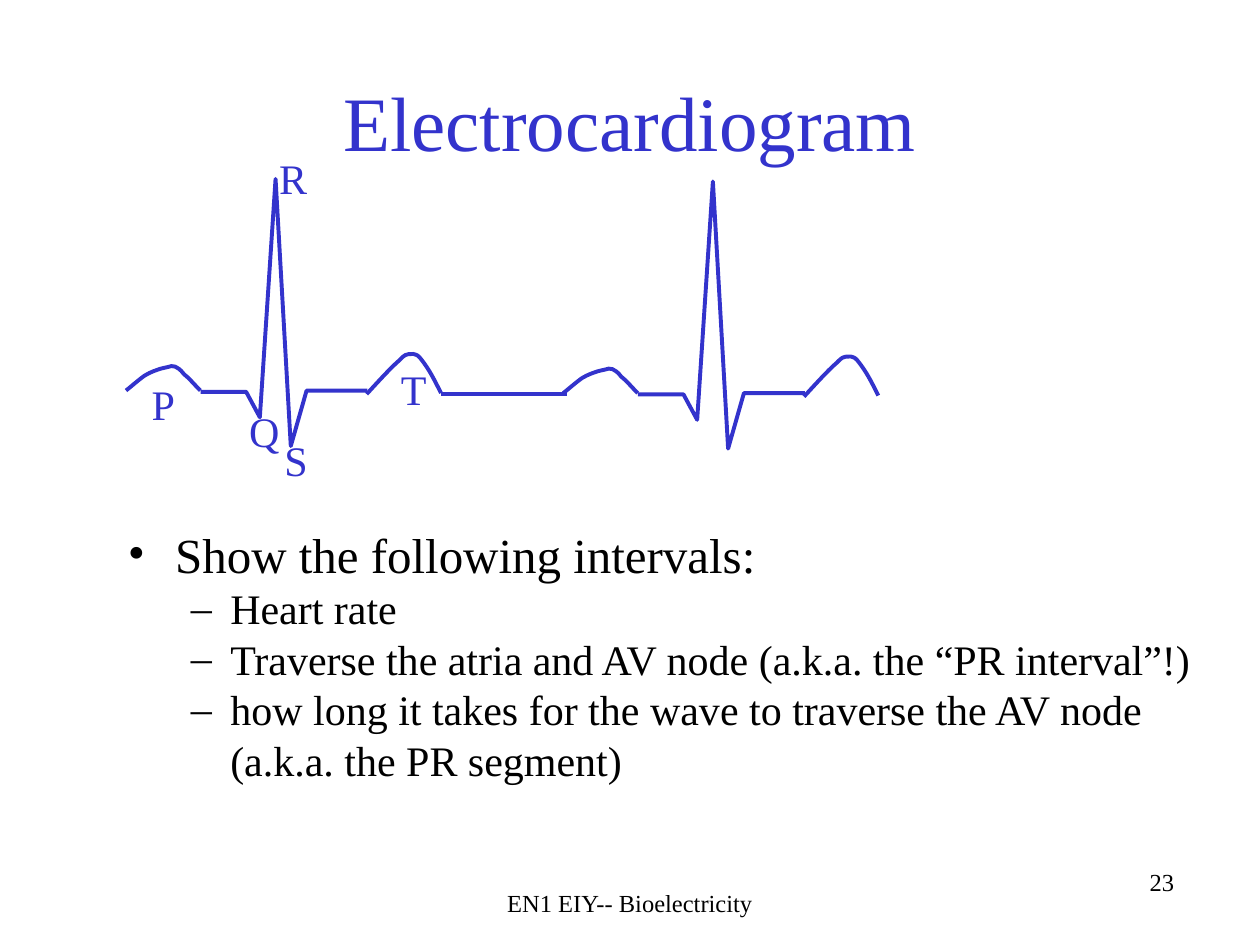
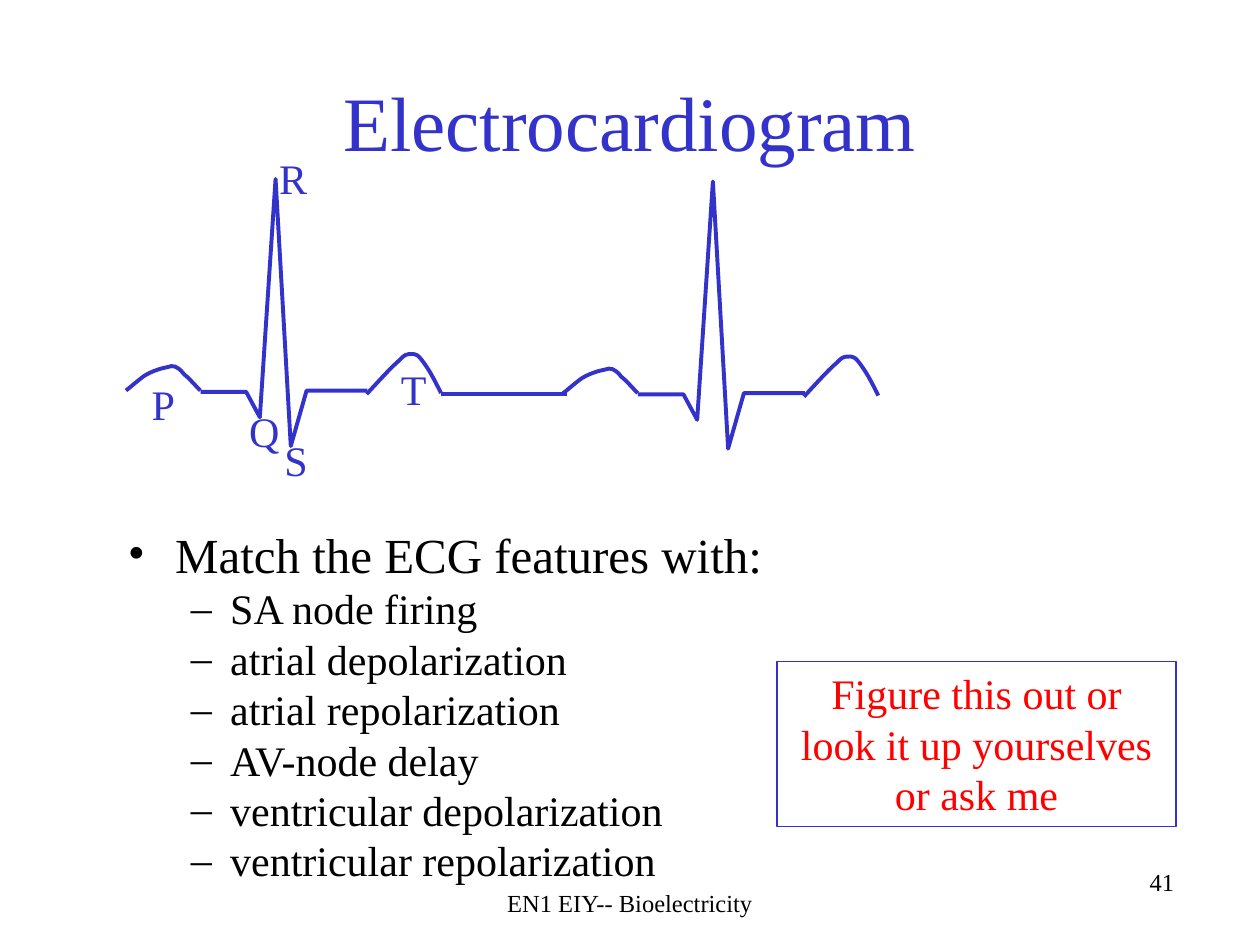
from dataclasses import dataclass

from lxml.etree import SubElement
from pptx import Presentation
from pptx.dml.color import RGBColor
from pptx.enum.shapes import MSO_CONNECTOR as Connector, MSO_SHAPE as Preset
from pptx.enum.text import MSO_ANCHOR as Anchor, MSO_AUTO_SIZE as AutoSize, PP_ALIGN as Align
from pptx.oxml.ns import qn
from pptx.util import Inches, Pt


@dataclass(frozen=True)
class Theme:
    font: str = "Times New Roman"
    accent: RGBColor = RGBColor(0x33, 0x33, 0xCC)
    ink: RGBColor = RGBColor(0x00, 0x00, 0x00)
    alert: RGBColor = RGBColor(0xFF, 0x00, 0x00)
    title_size: int = 44
    topic_size: int = 28
    text_size: int = 24
    footer_size: int = 14
    trace_width: float = 2.25
    border_width: float = 0.75


THEME = Theme()

# The slide is a grid of 120 columns by 90 rows of square cells
SLIDE_WIDTH, SLIDE_HEIGHT = Inches(10), Inches(7.5)
CELL = SLIDE_WIDTH / 120

# Boxes: left, top, width, height in cells
TITLE_BOX = (9, 4, 102, 15)
ECG_BOX = (12, 17.04, 72, 26)
BODY_BOX = (11, 49.33, 105, 35)
NARROW_BODY_BOX = (11, 49.33, 84, 35)
CALLOUT_BOX = (74, 63, 38, 15.75)
FOOTER_BOX = (41, 84, 38, 4)
NUMBER_BOX = (75, 82, 38, 6)

# One heartbeat, in cells from the corner of its box;
# a wave is a start point, then three points for each Bézier curve
P_WAVE = [
    (0, 20.16),
    (0.6, 19.68), (1.28, 19.08), (1.8, 18.72),
    (2.4, 18.36), (2.85, 18.24), (3.24, 18.1),
    (3.6, 18), (3.75, 17.98), (4, 17.92),
    (4.2, 17.86), (4.44, 17.76), (4.68, 17.88),
    (4.92, 18), (5.16, 18.12), (5.52, 18.6),
    (6, 18.96), (6.48, 19.56), (7.08, 20.16),
]
T_WAVE = [
    (22.92, 20.5),
    (24.12, 19.2), (25.32, 17.88), (26.04, 17.28),
    (26.64, 16.65), (26.64, 16.8), (26.88, 16.7),
    (27.12, 16.6), (27.12, 16.68), (27.36, 16.68),
    (27.48, 16.75), (27.72, 16.7), (27.96, 17),
    (28.2, 17.28), (28.56, 17.76), (28.92, 18.36),
    (29.28, 18.96), (29.64, 19.68), (30, 20.4),
]
QRS_COMPLEX = [(7.1, 20.28), (11.45, 20.28), (12.75, 22.7), (14.25, 0),
               (15.7, 25.44), (17.2, 20.16), (23, 20.16)]
NEXT_BEAT = (41.65, 0.24)
REST_LINE = ((30, 20.45), (42, 20.45))
WAVE_LABELS = {"P": (1.27, 18.4), "Q": (10.55, 21), "R": (13.4, -3.1),
               "S": (13.9, 23.8), "T": (25, 16.97)}
LABEL_SIZE = (4, 6)

# Bullet, left margin and hanging indent (cells), type size for each level
LEVELS = [("•", 4.5, 4.5, THEME.topic_size), ("–", 9.75, 3.75, THEME.text_size)]


def cells(*lengths):
    return [round(length * CELL) for length in lengths]


def style_paragraph(paragraph, size, color, align=Align.LEFT):
    paragraph.alignment = align
    paragraph.font.name = THEME.font
    paragraph.font.size = Pt(size)
    paragraph.font.color.rgb = color


def add_text(slide, box, text, size, color, align=Align.LEFT, anchor=Anchor.TOP):
    frame = slide.shapes.add_textbox(*cells(*box)).text_frame
    frame.word_wrap = True
    frame.vertical_anchor = anchor
    frame.text = text
    style_paragraph(frame.paragraphs[0], size, color, align)


def style_trace(shape):
    shape.line.color.rgb = THEME.accent
    shape.line.width = Pt(THEME.trace_width)


# Electrocardiogram trace
def bend(outline):
    """Turn each three line segments of an outline into one Bézier curve."""
    path = next(outline._element.iter(qn("a:path")))
    segments = path.findall(qn("a:lnTo"))
    for first in range(0, len(segments), 3):
        curve = SubElement(path, qn("a:cubicBezTo"))
        for segment in segments[first:first + 3]:
            curve.append(segment[0])
            path.remove(segment)


def add_beat(slide, left, top):
    group = slide.shapes.add_group_shape()
    for outline, curved in ((P_WAVE, True), (T_WAVE, True), (QRS_COMPLEX, False)):
        points = [cells(left + x, top + y) for x, y in outline]
        builder = group.shapes.build_freeform(*points[0])
        builder.add_line_segments(points[1:], close=False)
        wave = builder.convert_to_shape()
        if curved:
            bend(wave)
        wave.shadow.inherit = False
        wave.fill.background()
        style_trace(wave)


def add_ecg(slide, box):
    left, top = box[:2]
    add_beat(slide, left, top)
    add_beat(slide, left + NEXT_BEAT[0], top + NEXT_BEAT[1])
    ends = [length for x, y in REST_LINE for length in cells(left + x, top + y)]
    rest = slide.shapes.add_connector(Connector.STRAIGHT, *ends)
    style_trace(rest)
    SubElement(rest._element.spPr, qn("a:effectLst"))
    for letter, (x, y) in WAVE_LABELS.items():
        add_text(slide, (left + x, top + y, *LABEL_SIZE), letter,
                 THEME.text_size, THEME.accent)


# Bulleted question
def add_bullets(slide, box, topic, items):
    frame = slide.shapes.add_textbox(*cells(*box)).text_frame
    frame.word_wrap = True
    for index, text in enumerate([topic, *items]):
        paragraph = frame.add_paragraph() if index else frame.paragraphs[0]
        paragraph.text = text
        paragraph.level = min(index, 1)
        mark, margin, hanging, size = LEVELS[paragraph.level]
        properties = paragraph._p.get_or_add_pPr()
        margin, hanging = cells(margin, hanging)
        properties.set("marL", str(margin))
        properties.set("indent", str(-hanging))
        SubElement(properties, qn("a:buFont"), typeface=THEME.font)
        SubElement(properties, qn("a:buChar"), char=mark)
        style_paragraph(paragraph, size, THEME.ink)


# Framed remark
def add_callout(slide, box, text):
    callout = slide.shapes.add_shape(Preset.RECTANGLE, *cells(*box))
    callout.shadow.inherit = False
    callout.fill.background()
    callout.line.color.rgb = THEME.accent
    callout.line.width = Pt(THEME.border_width)
    frame = callout.text_frame
    frame.word_wrap = True
    frame.auto_size = AutoSize.SHAPE_TO_FIT_TEXT
    frame.vertical_anchor = Anchor.TOP
    frame.text = text
    style_paragraph(frame.paragraphs[0], THEME.text_size, THEME.alert, Align.CENTER)


def add_ecg_slide(presentation, number, body_box, topic, items):
    slide = presentation.slides.add_slide(presentation.slide_layouts[6])
    add_text(slide, NUMBER_BOX, number, THEME.footer_size, THEME.ink, Align.RIGHT)
    add_text(slide, TITLE_BOX, "Electrocardiogram", THEME.title_size, THEME.accent,
             Align.CENTER, Anchor.MIDDLE)
    add_bullets(slide, body_box, topic, items)
    add_text(slide, FOOTER_BOX, "EN1 EIY-- Bioelectricity", THEME.footer_size,
             THEME.ink, Align.CENTER)
    add_ecg(slide, ECG_BOX)
    return slide


def main():
    presentation = Presentation()
    presentation.slide_width, presentation.slide_height = SLIDE_WIDTH, SLIDE_HEIGHT

    add_ecg_slide(presentation, "23", BODY_BOX, "Show the following intervals:", [
        "Heart rate",
        "Traverse the atria and AV node (a.k.a. the “PR interval”!)",
        "how long it takes for the wave to traverse the AV node (a.k.a. the PR segment)",
    ])
    matching = add_ecg_slide(presentation, "41", NARROW_BODY_BOX, "Match the ECG features with:", [
        "SA node firing",
        "atrial depolarization",
        "atrial repolarization",
        "AV-node delay",
        "ventricular depolarization",
        "ventricular repolarization",
    ])
    add_callout(matching, CALLOUT_BOX, "Figure this out or look it up yourselves or ask me")

    presentation.save("out.pptx")


if __name__ == "__main__":
    main()
